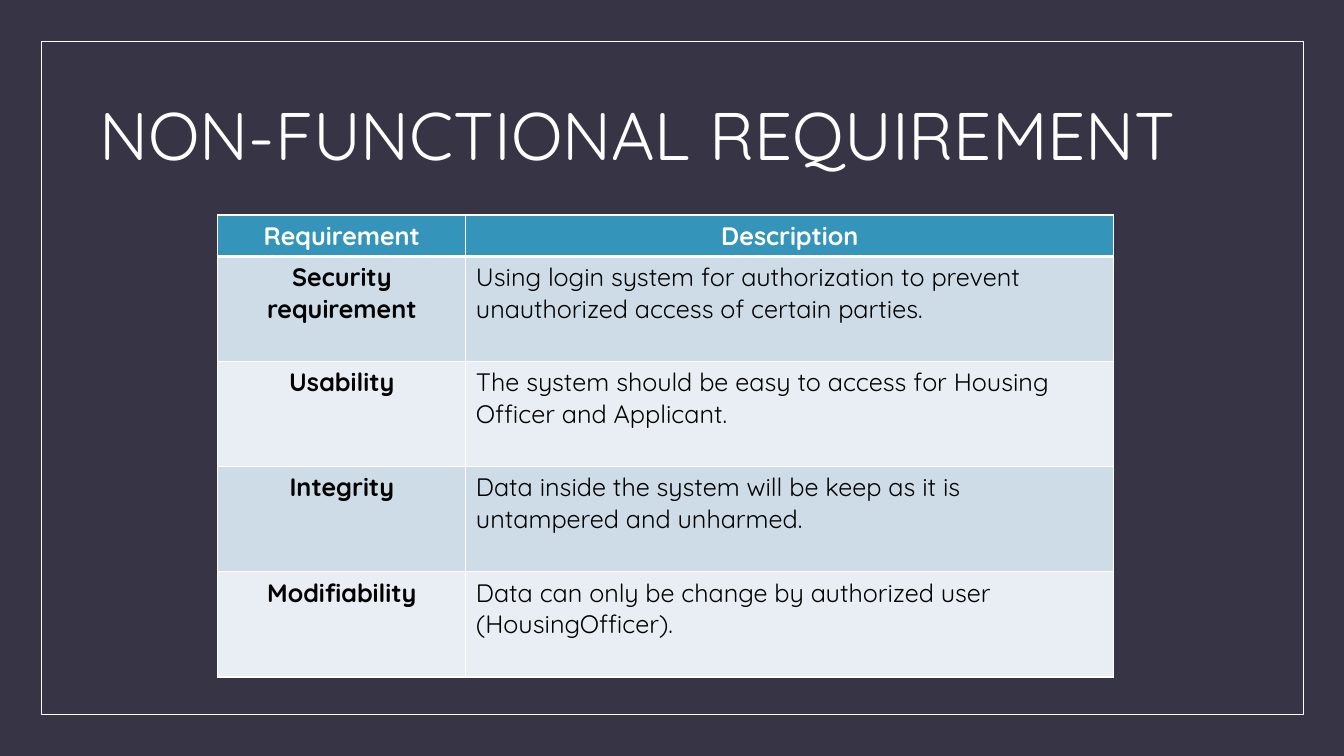
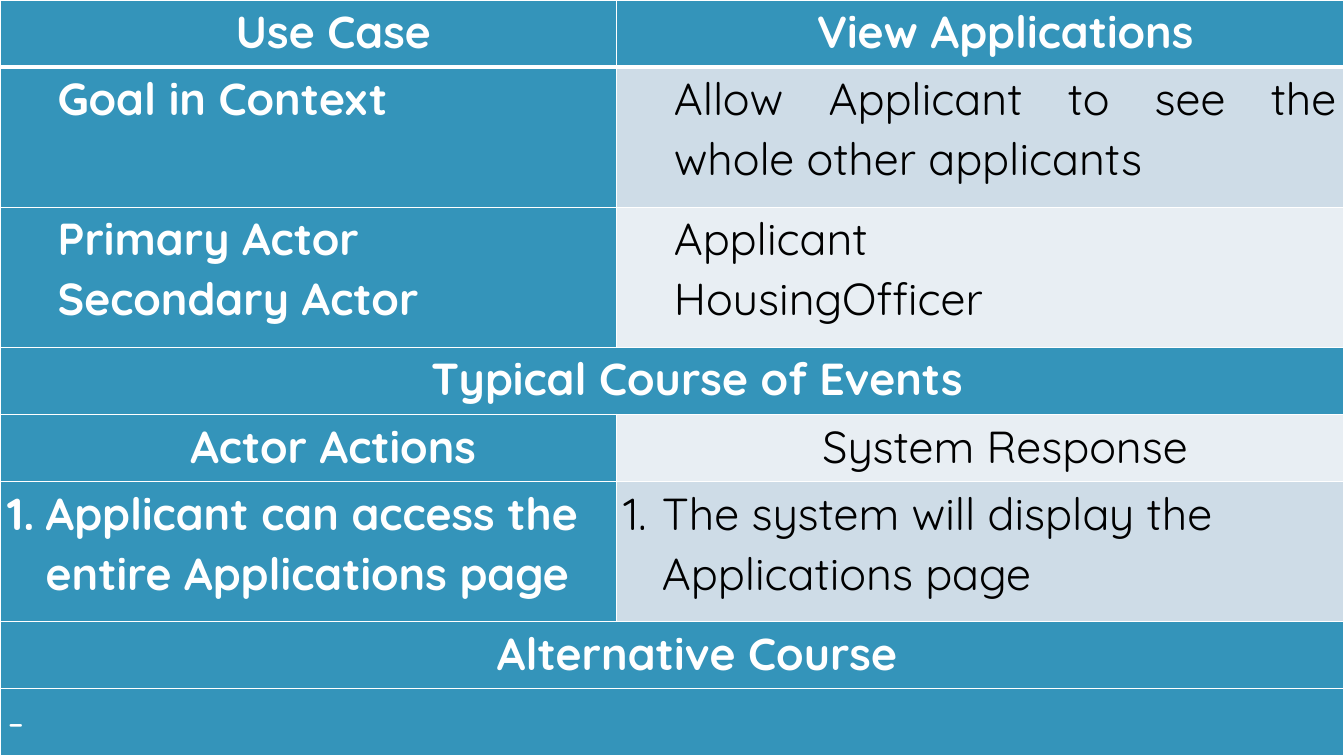
from dataclasses import dataclass
from typing import Any

from lxml.etree import SubElement
from pptx import Presentation
from pptx.dml.color import RGBColor
from pptx.enum.shapes import MSO_SHAPE
from pptx.enum.text import MSO_ANCHOR, PP_ALIGN as Align
from pptx.oxml import parse_xml
from pptx.oxml.ns import nsdecls, qn
from pptx.util import Cm, Pt

DARK = RGBColor(0x37, 0x35, 0x45)
WHITE = RGBColor(0xFF, 0xFF, 0xFF)
BLACK = RGBColor(0x00, 0x00, 0x00)
BLUE = RGBColor(0x34, 0x94, 0xBA)
MIST = RGBColor(0xCE, 0xDC, 0xE7)
PALE = RGBColor(0xE8, 0xEE, 0xF3)
FONT = "Quicksand"


@dataclass(frozen=True)
class Cell:
    text: str
    fill: RGBColor = BLUE
    align: Align = Align.CENTER
    bold: bool = True
    indent: float = 0
    numbered: bool = False
    wide: bool = False


@dataclass(frozen=True)
class TableSpec:
    left: float
    top: float
    columns: tuple[float, ...]
    heights: tuple[float, ...]
    size: int
    spacing: float
    margins: dict[str, Any]
    rows: list[list[Cell]]


def apply(target: Any, values: dict[str, Any]) -> None:
    for name, value in values.items():
        setattr(target, name, value)


def style_font(font: Any, size: int, color: RGBColor, bold: bool = False) -> None:
    apply(font, {"name": FONT, "size": Pt(size), "bold": bold})
    font.color.rgb = color


def set_indent(p: Any, cell: Cell) -> None:
    pPr = p._p.get_or_add_pPr()
    pPr.set("marL", str(Cm(cell.indent)))
    pPr.set("indent", str(-Cm(cell.indent) if cell.numbered else 0))
    if cell.numbered:
        SubElement(pPr, qn("a:buAutoNum"), type="arabicPeriod")


def set_borders(tc: Any, row: int) -> None:
    widths = {"L": 1, "R": 1, "T": 3 if row == 1 else 1, "B": 3 if row == 0 else 1}
    tcPr = tc.get_or_add_tcPr()
    for i, (side, width) in enumerate(widths.items()):
        tcPr.insert(i, parse_xml(
            f'<a:ln{side} {nsdecls("a")} w="{Pt(width)}"><a:solidFill>'
            f'<a:srgbClr val="{WHITE}"/></a:solidFill></a:ln{side}>'))


def write_cell(target: Any, cell: Cell, spec: TableSpec) -> None:
    apply(target, spec.margins)
    tf = target.text_frame
    tf.text = cell.text
    for p in tf.paragraphs:
        apply(p, {"alignment": cell.align, "line_spacing": spec.spacing})
        set_indent(p, cell)
        style_font(p.runs[0].font, spec.size, WHITE if cell.fill == BLUE else BLACK, cell.bold)


def add_table(s: Any, spec: TableSpec) -> None:
    table = s.shapes.add_table(
        len(spec.rows), len(spec.columns), Cm(spec.left), Cm(spec.top),
        Cm(sum(spec.columns)), Cm(sum(spec.heights))).table
    apply(table, {"first_row": False, "horz_banding": False})
    for column, width in zip(table.columns, spec.columns):
        column.width = Cm(width)
    for r, (cells, height) in enumerate(zip(spec.rows, spec.heights)):
        table.rows[r].height = Cm(height)
        for c in range(len(spec.columns)):
            target = table.cell(r, c)
            target.fill.solid()
            target.fill.fore_color.rgb = cells[min(c, len(cells) - 1)].fill
            set_borders(target._tc, r)
        if cells[0].wide:
            table.cell(r, 0).merge(table.cell(r, len(spec.columns) - 1))
        for c, cell in enumerate(cells):
            write_cell(table.cell(r, c), cell, spec)


def add_framed_slide(prs: Any) -> Any:
    s = prs.slides.add_slide(prs.slide_layouts[6])
    frame = s.shapes.add_shape(MSO_SHAPE.RECTANGLE, Cm(1.04), Cm(1.04), Cm(31.8), Cm(16.97))
    frame.shadow.inherit = False
    frame.fill.background()
    frame.line.color.rgb = WHITE
    frame.line.width = Pt(0.5)
    return s


def add_title(s: Any, text: str) -> None:
    tf = s.shapes.add_textbox(Cm(2.26), Cm(1.6), Cm(29.97), Cm(3.81)).text_frame
    apply(tf, {"word_wrap": True, "vertical_anchor": MSO_ANCHOR.MIDDLE})
    p = tf.paragraphs[0]
    p.line_spacing = 0.9
    r = p.add_run()
    r.text = text
    style_font(r.font, 48, WHITE)


def heading(text: str, wide: bool = False) -> Cell:
    return Cell(text, indent=1.27, wide=wide)


def field(label: str, value: str, fill: RGBColor) -> list[Cell]:
    return [Cell(label, align=Align.JUSTIFY, indent=1.27),
            Cell(value, fill, Align.JUSTIFY, False, 1.27)]


REQUIREMENTS = {
    "Security requirement": "Using login system for authorization to prevent "
                            "unauthorized access of certain parties.",
    "Usability": "The system should be easy to access for Housing Officer and Applicant.",
    "Integrity": "Data inside the system will be keep as it is untampered and unharmed.",
    "Modifiability": "Data can only be change by authorized user (HousingOfficer).",
}
requirement_rows = [[Cell("Requirement"), Cell("Description")]]
for i, (name, description) in enumerate(REQUIREMENTS.items()):
    band = PALE if i % 2 else MIST
    requirement_rows.append([Cell(name, band), Cell(description, band, Align.LEFT, False)])

use_case_rows = [
    [heading("Use Case"), heading("View Applications")],
    field("Goal in Context", "Allow Applicant to see the whole other applicants", MIST),
    field("Primary Actor\nSecondary Actor", "Applicant\nHousingOfficer", PALE),
    [heading("Typical Course of Events", wide=True)],
    [heading("Actor Actions"), Cell("System Response", PALE, bold=False, indent=1.27)],
    [Cell("Applicant can access the entire Applications page",
          align=Align.LEFT, indent=0.97, numbered=True),
     Cell("The system will display the Applications page", MIST, Align.LEFT, False, 0.97, True)],
    [heading("Alternative Course", wide=True)],
    [Cell("-", align=Align.LEFT, bold=False, wide=True)],
]
LOW, TALL = 1.69, 3.53

prs = Presentation()
apply(prs, {"slide_width": Cm(33.87), "slide_height": Cm(19.05)})
background = prs.slide_master.background.fill
background.solid()
background.fore_color.rgb = DARK

s = add_framed_slide(prs)
add_title(s, "NON-FUNCTIONAL REQUIREMENT")
add_table(s, TableSpec(5.49, 5.42, (6.25, 16.33), (1.04,) + (2.65,) * 4, 18, 1.0, {},
                       requirement_rows))

s = add_framed_slide(prs)
add_table(s, TableSpec(
    0, 0, (15.53, 18.34), (LOW, TALL, TALL, LOW, LOW, TALL, LOW, LOW), 32, 1.07,
    {"margin_left": Cm(0.18), "margin_right": Cm(0.18), "margin_top": 0, "margin_bottom": 0},
    use_case_rows))

prs.save("out.pptx")
